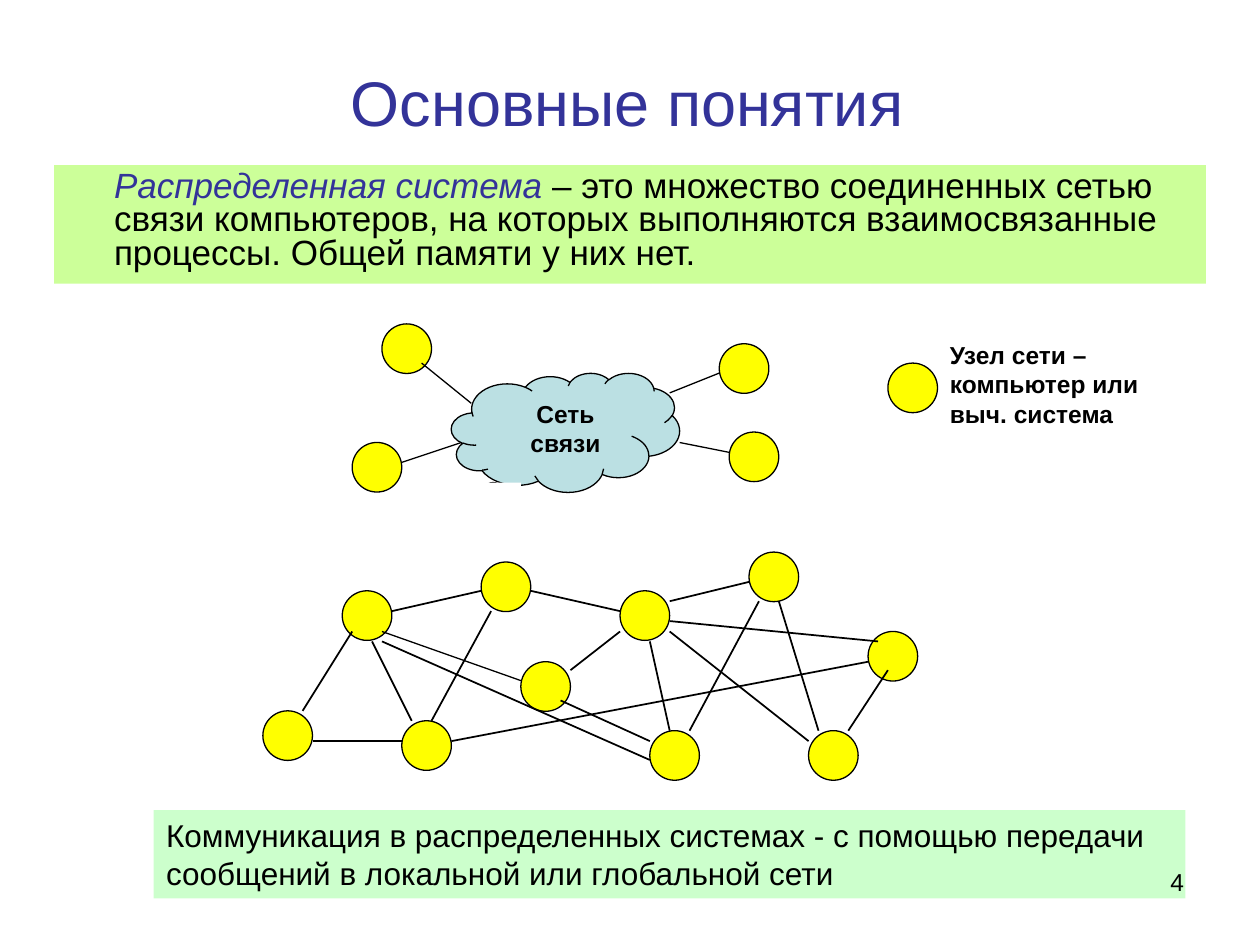
from dataclasses import dataclass

from lxml import etree
from pptx import Presentation
from pptx import util as u
from pptx.dml.color import RGBColor
from pptx.enum import shapes, text
from pptx.oxml.ns import qn


@dataclass(frozen=True)
class Theme:
    font: str = "Arial"
    ink: str = "000000"
    accent: str = "333399"
    node: str = "FFFF00"
    cloud: str = "BBE0E3"
    definition: str = "CCFF99"
    summary: str = "CCFFCC"
    paper: str = "FFFFFF"
    title_size: float = 36
    body_size: float = 20
    summary_size: float = 18
    label_size: float = 14
    thin: float = 0.75
    medium: float = 1


NODE_SIZE = 1.0
CLOUD_NODES = [(7.7, 6.53), (7.1, 8.92), (14.7, 8.71), (14.5, 6.93)]
CLOUD_LINKS = [
    (8.5, 7.32, 9.5, 8.13), (8.1, 9.32, 9.3, 8.92),
    (13.5, 7.92, 14.5, 7.52), (14.7, 9.12, 13.7, 8.92),
]
LEGEND_NODE = (17.9, 7.32)
MESH_NODES = [
    (6.9, 11.91), (9.7, 11.33), (12.5, 11.91), (15.1, 11.13), (8.1, 14.53),
    (10.5, 13.34), (16.3, 14.73), (17.5, 12.73), (13.1, 14.73), (5.3, 14.33),
]
MESH_LINKS = [
    (6.1, 14.33, 7.1, 12.73), (7.9, 12.32, 9.7, 11.91),
    (9.1, 14.94, 17.5, 13.34), (6.3, 14.94, 8.1, 14.94),
    (8.7, 14.53, 9.9, 12.32), (10.7, 11.91, 12.5, 12.32),
    (12.5, 12.73, 11.5, 13.51), (13.9, 14.73, 15.3, 12.12),
    (8.3, 14.53, 7.5, 12.93), (13.1, 12.93, 13.5, 14.73),
    (13.5, 12.12, 15.1, 11.73), (13.1, 14.94, 11.3, 14.12),
    (16.5, 14.73, 15.7, 12.12), (17.7, 12.93, 13.5, 12.52),
    (17.1, 14.73, 17.9, 13.51), (7.7, 12.93, 13.1, 15.32),
    (16.3, 14.94, 13.5, 12.73),
]
THIN_MESH_LINK = (7.7, 12.73, 10.5, 13.72)


class SlideBuilder:
    def __init__(self, slide, theme):
        self.slide = slide
        self.theme = theme

    def apply(self, target, values):
        for name, value in values.items():
            setattr(target, name, value)

    def shape(self, kind, box, fill, outlined=False):
        shape = self.slide.shapes.add_shape(kind, *map(u.Cm, box))
        shape.shadow.inherit = False
        shape.fill.solid()
        shape.fill.fore_color.rgb = RGBColor.from_string(fill)
        if outlined:
            shape.line.color.rgb = RGBColor.from_string(self.theme.ink)
            shape.line.width = u.Pt(self.theme.thin)
        else:
            shape.line.fill.background()
        return shape

    def panel(self, box, fill):
        return self.shape(shapes.MSO_SHAPE.RECTANGLE, box, fill)

    def node(self, left, top):
        box = (left, top, NODE_SIZE, NODE_SIZE)
        return self.shape(shapes.MSO_SHAPE.OVAL, box, self.theme.node, True)

    def cloud(self, box, tail):
        cloud = self.shape(shapes.MSO_SHAPE.CLOUD_CALLOUT, box, self.theme.cloud, True)
        for index, value in enumerate(tail):
            cloud.adjustments[index] = value

    def link(self, ends, width):
        connector = self.slide.shapes.add_connector(
            shapes.MSO_CONNECTOR.STRAIGHT, *map(u.Cm, ends))
        connector.line.color.rgb = RGBColor.from_string(self.theme.ink)
        connector.line.width = u.Pt(width)
        etree.SubElement(connector._element.spPr, qn("a:effectLst"))

    def textbox(self, box, runs, size, **options):
        self.fill_text(self.slide.shapes.add_textbox(*map(u.Cm, box)), runs, size, **options)

    def fill_text(self, shape, runs, size, align=text.PP_ALIGN.LEFT,
                  anchor=text.MSO_ANCHOR.TOP, margin=0, **spacing):
        self.apply(shape.text_frame, {"word_wrap": True, "vertical_anchor": anchor})
        paragraph = shape.text_frame.paragraphs[0]
        self.apply(paragraph, {"alignment": align, **spacing})
        if margin:
            paragraph._p.get_or_add_pPr().set("marL", str(u.Cm(margin)))
        for words, color, style in runs:
            run = paragraph.add_run()
            run.text = words
            self.apply(run.font, {"name": self.theme.font, "size": u.Pt(size), **style})
            run.font.color.rgb = RGBColor.from_string(color)


def main():
    presentation = Presentation()
    presentation.slide_width, presentation.slide_height = u.Cm(25.4), u.Cm(19.05)
    slide = presentation.slides.add_slide(presentation.slide_layouts[6])
    theme = Theme()
    builder = SlideBuilder(slide, theme)
    center = text.PP_ALIGN.CENTER
    bold = {"bold": True}

    builder.textbox((0.2, 0.13, 24.89, 3.81),
                    [("Основные понятия", theme.accent, {})], theme.title_size,
                    align=center, anchor=text.MSO_ANCHOR.MIDDLE)

    definition = builder.panel((1.09, 3.33, 23.22, 2.39), theme.definition)
    builder.fill_text(definition, [
        ("Распределенная система ", theme.accent, {"italic": True}),
        ("– это множество соединенных сетью связи компьютеров, на которых "
         "выполняются взаимосвязанные процессы. Общей памяти у них нет.", theme.ink, {}),
    ], theme.body_size, margin=0.96, line_spacing=0.8, space_before=u.Pt(5))

    summary = builder.panel((3.1, 16.33, 20.8, 1.78), theme.summary)
    builder.fill_text(summary, [
        ("Коммуникация в распределенных системах - с помощью передачи "
         "сообщений в локальной или глобальной сети", theme.ink, {}),
    ], theme.summary_size, space_before=u.Pt(4.5))

    builder.cloud((9.1, 7.52, 4.6, 2.4), (-0.44, 0.7))
    for position in CLOUD_NODES:
        builder.node(*position)
    builder.panel((8.9, 9.73, 1.6, 0.84), theme.paper)
    for ends in CLOUD_LINKS:
        builder.link(ends, theme.thin)
    builder.textbox((10.1, 7.92, 2.6, 1.45), [("Сеть связи", theme.ink, bold)],
                    theme.label_size, align=center, space_before=u.Pt(8.8))

    builder.node(*LEGEND_NODE)
    builder.textbox((18.9, 6.73, 4.4, 2.03),
                    [("Узел сети –компьютер или выч. система", theme.ink, bold)],
                    theme.label_size, space_before=u.Pt(8.8))

    for position in MESH_NODES:
        builder.node(*position)
    for ends in MESH_LINKS:
        builder.link(ends, theme.medium)
    builder.link(THIN_MESH_LINK, theme.thin)

    builder.textbox((18.2, 17.35, 5.92, 1.32), [("4", theme.ink, {})],
                    theme.label_size, align=text.PP_ALIGN.RIGHT)
    presentation.save("out.pptx")


if __name__ == "__main__":
    main()
